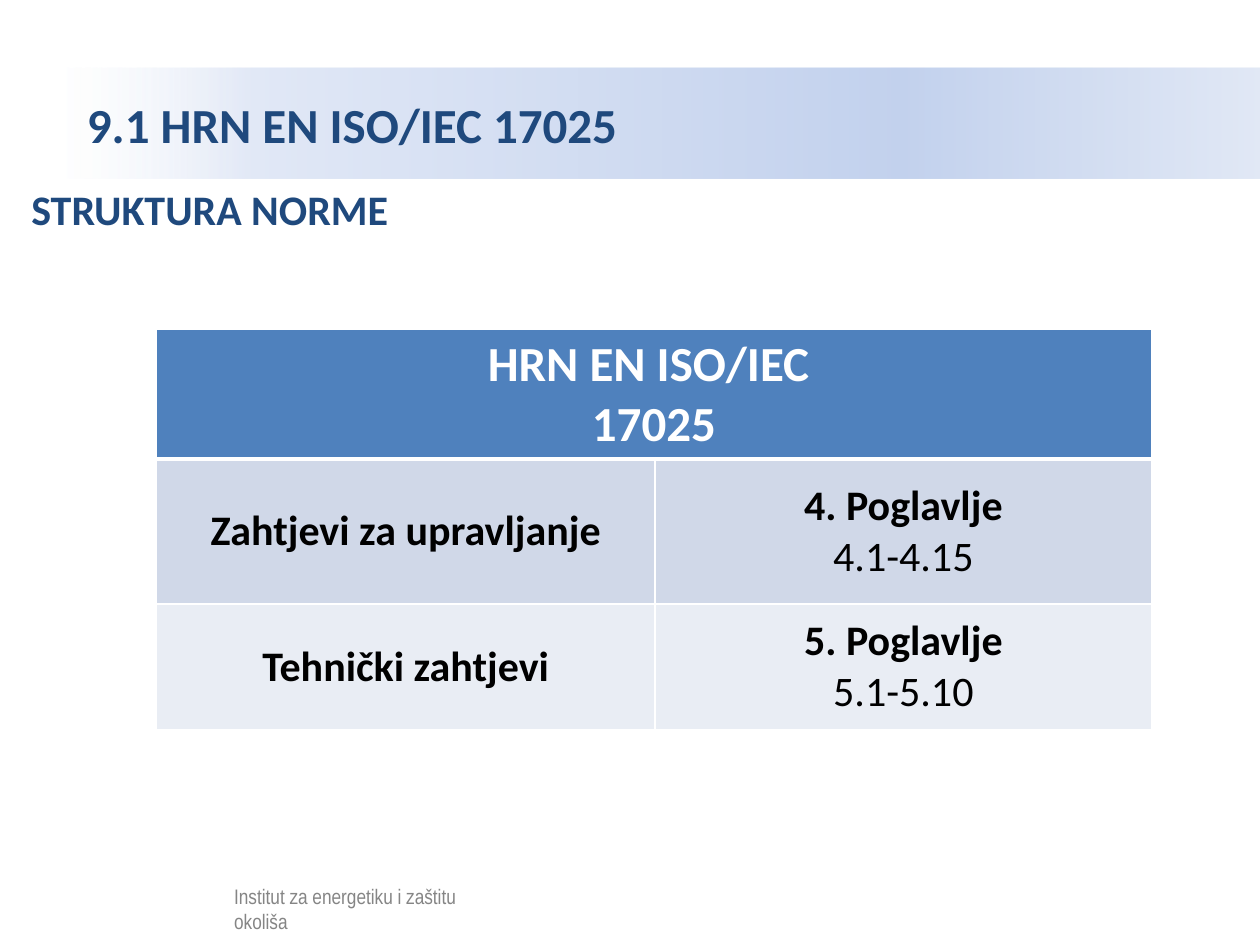
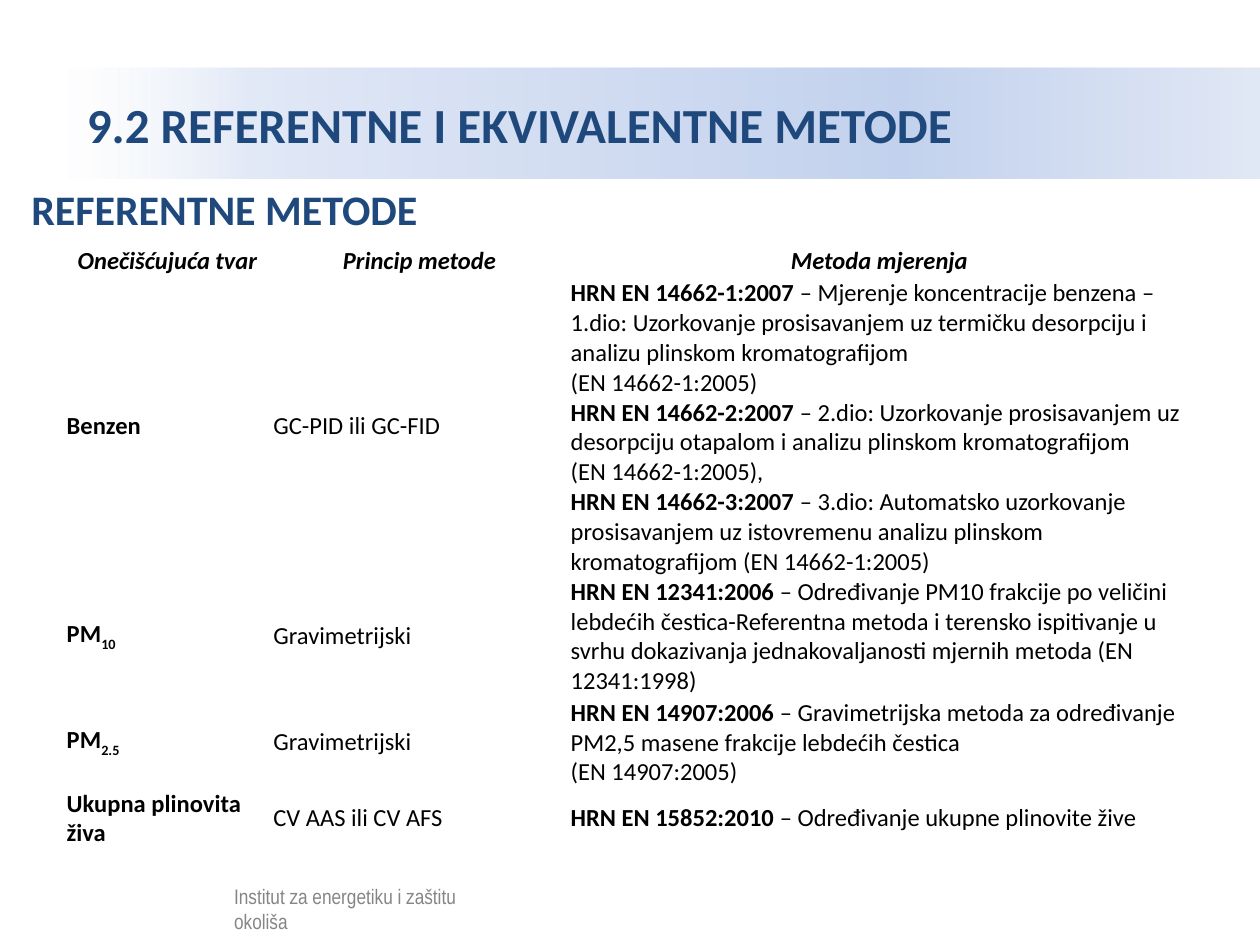
import pptx
import pptx.dml.color
import pptx.enum.shapes
import pptx.enum.text
import pptx.oxml
import pptx.oxml.ns
import pptx.util

Inches = pptx.util.Inches
RGBColor = pptx.dml.color.RGBColor
ALIGN = pptx.enum.text.PP_ALIGN
ANCHOR = pptx.enum.text.MSO_ANCHOR
qn = pptx.oxml.ns.qn

NAVY = RGBColor(0x1F, 0x49, 0x7D)
WHITE = RGBColor(0xFF, 0xFF, 0xFF)
BLACK = RGBColor(0, 0, 0)
HEADER_BLUE = RGBColor(0x4F, 0x81, 0xBD)
ROW_BLUE = RGBColor(0xD0, 0xD8, 0xE8)
ROW_PALE = RGBColor(0xE9, 0xED, 0xF4)
BAND_STOPS = [
    (0, WHITE),
    (16, RGBColor(0xE1, 0xE8, 0xF6)),
    (70, RGBColor(0xC2, 0xD1, 0xED)),
    (100, RGBColor(0xE1, 0xE8, 0xF5)),
]
VEIL_OPACITY = '<a:alpha val="52000"/>'
FONT = "Calibri"
FOOTER_FONT = "Arial Narrow"
FOOTER = "Institut za energetiku i zaštitu okoliša"

STRUCTURE_ROWS = [
    ("Zahtjevi za upravljanje", "4. Poglavlje", "4.1-4.15", ROW_BLUE),
    ("Tehnički zahtjevi", "5. Poglavlje", "5.1-5.10", ROW_PALE),
]

METHOD_HEADINGS = ["Onečišćujuća tvar", "Princip metode", "Metoda mjerenja"]
METHODS = [
    ("Benzen", "", "GC-PID ili GC-FID", [
        ("HRN EN 14662-1:2007 ", "– Mjerenje koncentracije benzena – 1.dio: Uzorkovanje "
         "prosisavanjem uz termičku desorpciju i analizu plinskom kromatografijom"),
        ("", "(EN 14662-1:2005)"),
        ("HRN EN 14662-2:2007 ", "– 2.dio: Uzorkovanje prosisavanjem uz desorpciju otapalom "
         "i analizu plinskom kromatografijom"),
        ("", "(EN 14662-1:2005),"),
        ("HRN EN 14662-3:2007 ", "– 3.dio: Automatsko uzorkovanje prosisavanjem uz istovremenu "
         "analizu plinskom kromatografijom (EN 14662-1:2005)"),
    ]),
    ("PM", "10", "Gravimetrijski", [
        ("HRN EN 12341:2006 ", "– Određivanje PM10 frakcije po veličini lebdećih "
         "čestica-Referentna metoda i terensko ispitivanje u svrhu dokazivanja "
         "jednakovaljanosti mjernih metoda (EN 12341:1998)"),
    ]),
    ("PM", "2.5", "Gravimetrijski", [
        ("HRN EN 14907:2006 ", "– Gravimetrijska metoda za određivanje PM2,5 masene "
         "frakcije lebdećih čestica"),
        ("", "(EN 14907:2005)"),
    ]),
    ("Ukupna plinovita živa", "", "CV AAS ili CV AFS", [
        ("HRN EN 15852:2010 ", "– Određivanje ukupne plinovite žive"),
    ]),
]


def write(frame, paragraphs, size=14, font=FONT, color=BLACK, bold=False, italic=False,
          align=ALIGN.LEFT, anchor=None):
    """Fill a frame; each paragraph is a string or a list of (text, bold, baseline) runs."""
    frame.word_wrap = True
    if anchor is not None:
        frame.vertical_anchor = anchor
    for index, runs in enumerate(paragraphs):
        paragraph = frame.paragraphs[0] if index == 0 else frame.add_paragraph()
        paragraph.alignment = align
        if isinstance(runs, str):
            runs = [(runs, bold, 0)]
        for text, heavy, baseline in runs:
            if not text:
                continue
            run = paragraph.add_run()
            run.text = text
            run.font.size = pptx.util.Pt(size)
            run.font.name = font
            run.font.color.rgb = color
            run.font.bold = heavy
            run.font.italic = italic
            if baseline:
                run.font._element.set("baseline", str(baseline * 1000))


def a_xml(tag, attributes="", content=""):
    """Build one DrawingML element."""
    return pptx.oxml.parse_xml(
        f'<a:{tag} {pptx.oxml.ns.nsdecls("a")} {attributes}>{content}</a:{tag}>')


def place(shape, box):
    """Move a shape to a box given in inches."""
    shape.left, shape.top, shape.width, shape.height = map(Inches, box)


def title_band(slide, title, box):
    """Format the title placeholder as a gradient band."""
    band = slide.shapes.title
    place(band, box)
    band.fill.gradient()
    band.fill.gradient_angle = 0
    stops = "".join(
        f'<a:gs pos="{position * 1000}"><a:srgbClr val="{color}">'
        f'{VEIL_OPACITY if position == 0 else ""}</a:srgbClr></a:gs>'
        for position, color in BAND_STOPS)
    old_stops = band.element.spPr.find(qn("a:gradFill")).find(qn("a:gsLst"))
    old_stops.getparent().replace(old_stops, a_xml("gsLst", content=stops))
    band.text_frame.margin_left = Inches(0.19)
    write(band.text_frame, [title], size=28, color=NAVY, bold=True, anchor=ANCHOR.MIDDLE)


def subtitle(slide, text, box):
    """Add the heading below the title band."""
    heading = slide.shapes.add_textbox(*map(Inches, box))
    write(heading.text_frame, [text], size=24, color=NAVY, bold=True)


def footer(slide, box):
    """Add the institute name under a translucent white veil."""
    left, top, width, height = box
    institute = slide.shapes.add_textbox(
        Inches(left + 1.35), Inches(top + 0.03), Inches(2.09), Inches(height - 0.03))
    write(institute.text_frame, [FOOTER], size=12, font=FOOTER_FONT)
    veil = slide.shapes.add_shape(
        pptx.enum.shapes.MSO_SHAPE.RECTANGLE, *map(Inches, box))
    veil.shadow.inherit = False
    veil.line.fill.background()
    veil.fill.solid()
    veil.fill.fore_color.rgb = WHITE
    veil.element.spPr.find(qn("a:solidFill"))[0].append(a_xml("alpha", 'val="52000"'))


def new_slide(deck, title, heading):
    """Add a slide with the shared band, heading and footer."""
    slide = deck.slides.add_slide(deck.slide_layouts[5])
    title_band(slide, title, (0.5, 0.54, 9.5, 0.88))
    footer(slide, (0.41, 6.93, 3.82, 0.48))
    subtitle(slide, heading, (0.15, 1.41, 9.52, 0.5))
    return slide


def new_table(slide, left, top, widths, heights):
    """Add an unbanded table with the given column widths and row heights."""
    table = slide.shapes.add_table(
        len(heights), len(widths), Inches(left), Inches(top),
        Inches(sum(widths)), Inches(sum(heights))).table
    table.first_row = table.horz_banding = False
    for column, width in zip(table.columns, widths):
        column.width = Inches(width)
    for row, height in zip(table.rows, heights):
        row.height = Inches(height)
    return table


def paint_cell(cell, fill, bottom=1, top=1):
    """Give a cell white borders and a solid fill."""
    properties = cell._tc.get_or_add_tcPr()
    for side, points in zip("LRTB", (1, 1, top, bottom)):
        properties.append(a_xml(
            f"ln{side}", f'w="{points * 12700}"',
            f'<a:solidFill><a:srgbClr val="{WHITE}"/></a:solidFill>'))
    cell.fill.solid()
    cell.fill.fore_color.rgb = fill


def structure_table(slide, left, top):
    """Add the table of the standard's chapters."""
    table = new_table(slide, left, top, (3.96, 3.94), (1.02, 1.15, 1))
    for cell in table.rows[0].cells:
        paint_cell(cell, HEADER_BLUE, bottom=3)
    standard = table.cell(0, 0)
    standard.merge(table.cell(0, 1))
    write(standard.text_frame, ["HRN EN ISO/IEC ", "17025"], size=28, color=WHITE,
          bold=True, align=ALIGN.CENTER)
    for row, (demand, chapter, sections, fill) in enumerate(STRUCTURE_ROWS, 1):
        contents = [[demand], [chapter, [(sections, False, 0)]]]
        for column, paragraphs in enumerate(contents):
            cell = table.cell(row, column)
            paint_cell(cell, fill, top=3 if row == 1 else 1)
            cell.vertical_anchor = ANCHOR.MIDDLE
            write(cell.text_frame, paragraphs, size=24, bold=True, align=ALIGN.CENTER)


def methods_table(slide, left, top):
    """Add the table of reference methods."""
    table = new_table(slide, left, top, (1.64, 2.36, 4.94), (0.26, 2.37, 0.96, 0.71, 0.49))
    for cell in table.iter_cells():
        cell.fill.background()
        cell.vertical_anchor = ANCHOR.MIDDLE
        cell.margin_left = cell.margin_right = Inches(0.02)
        cell.margin_top = cell.margin_bottom = Inches(0.01)
    for cell, heading in zip(table.rows[0].cells, METHOD_HEADINGS):
        write(cell.text_frame, [heading], bold=True, italic=True, align=ALIGN.CENTER)
    for row, (pollutant, subscript, principle, standards) in enumerate(METHODS, 1):
        contents = [
            [[(pollutant, True, 0), (subscript, True, -25)]],
            [principle],
            [[(code, True, 0), (description, False, 0)] for code, description in standards],
        ]
        for column, paragraphs in enumerate(contents):
            write(table.cell(row, column).text_frame, paragraphs)


def main():
    """Build and save the two slides."""
    deck = pptx.Presentation()
    deck.slide_width, deck.slide_height = Inches(10), Inches(7.5)
    structure = new_slide(deck, "9.1 HRN EN ISO/IEC 17025", "STRUKTURA NORME")
    structure_table(structure, 1.24, 2.61)
    methods = new_slide(deck, "9.2 REFERENTNE I EKVIVALENTNE METODE", "REFERENTNE METODE")
    methods_table(methods, 0.51, 1.94)
    deck.save("out.pptx")


if __name__ == "__main__":
    main()
